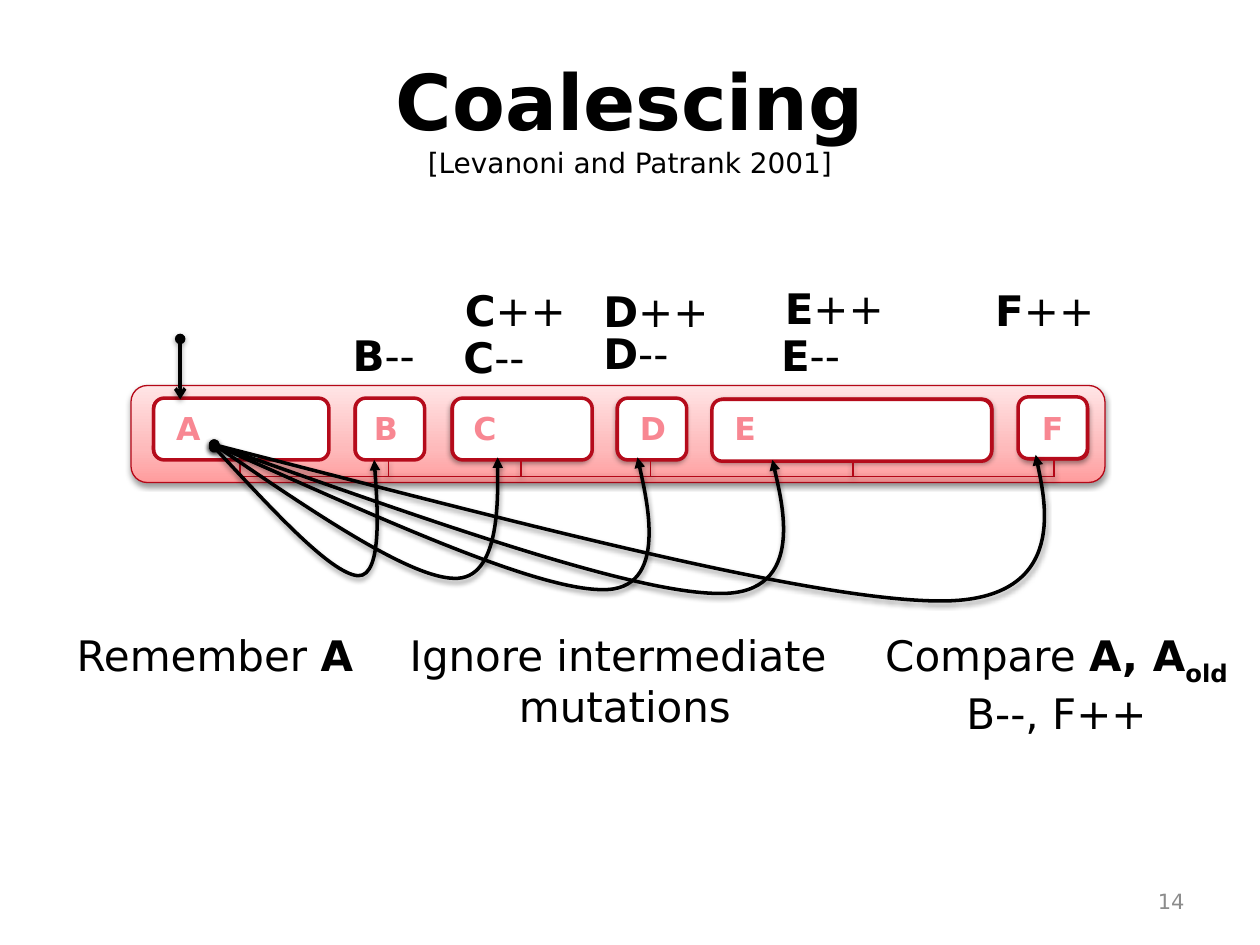
"""Build the slide on coalescing reference-count updates."""
from copy import deepcopy

from lxml import etree
from pptx import Presentation
from pptx.dml.color import RGBColor
from pptx.enum import shapes, text
from pptx.oxml import ns
from pptx.util import Inches, Pt

FONT = "DejaVu Sans"
RED, BLACK = "B50717", "000000"


def write(left, top, width, height, *lines, size=24, color=BLACK, align="LEFT", anchor="TOP", wrap=True):
    """Add a text box whose lines switch bold on and off at each asterisk."""
    box = page.shapes.add_textbox(Inches(left), Inches(top), Inches(width), Inches(height))
    frame = box.text_frame
    frame.word_wrap = wrap
    frame.vertical_anchor = text.MSO_ANCHOR[anchor]
    for index, line in enumerate(lines):
        para = frame.paragraphs[0] if index == 0 else frame.add_paragraph()
        para.alignment = text.PP_ALIGN[align]
        for part, words in enumerate(line.split("*")):
            if words:
                span = para.add_run()
                span.text = words
                span.font.name, span.font.size, span.font.bold = FONT, Pt(size), part % 2 == 1
                span.font.color.rgb = RGBColor.from_string(color)
    return box


def outline(shape, color, width, shadow=True, head=None, tail=None):
    """Set the line, its ends and the soft shadow below a shape."""
    shape.line.color.rgb = RGBColor.from_string(color)
    shape.line.width = Pt(width)
    properties = shape._element.spPr
    for tag, kind in (("a:headEnd", head), ("a:tailEnd", tail)):
        if kind:
            etree.SubElement(properties.find(ns.qn("a:ln")), ns.qn(tag), type=kind)
    effects = etree.SubElement(properties, ns.qn("a:effectLst"))
    if shadow:
        outer = etree.SubElement(effects, ns.qn("a:outerShdw"), blurRad=str(Pt(3.1)),
                                 dist=str(Pt(1.6)), dir="5400000", rotWithShape="0")
        tone = etree.SubElement(outer, ns.qn("a:srgbClr"), val=BLACK)
        etree.SubElement(tone, ns.qn("a:alpha"), val="38000")


deck = Presentation()
deck.slide_width, deck.slide_height = Inches(10), Inches(7.5)
page = deck.slides.add_slide(deck.slide_layouts[6])

title = write(0.5, 0.3, 9, 1.25, "", align="CENTER", anchor="MIDDLE")
heading = title.text_frame.paragraphs[0]
heading.text = "Coalescing\v[Levanoni and Patrank 2001]"
for span, size in zip(heading.runs, (44, 16)):
    span.font.name, span.font.size, span.font.bold = FONT, Pt(size), size == 44
    span.font.color.rgb = RGBColor.from_string(BLACK)

# name, left, width, has shadow, white box left and top, letter left
cells = [
    ("A", 1.21, 1.39, False, 1.22, 3.16, 1.3),
    ("B", 2.81, 0.55, False, 2.82, 3.16, 2.87),
    ("C", 3.58, 1.11, True, 3.59, 3.16, 3.66),
    ("D", 4.89, 0.55, True, 4.9, 3.16, 4.98),
    ("E", 5.66, 2.22, True, 5.65, 3.17, 5.73),
    ("F", 8.09, 0.55, True, 8.08, 3.15, 8.17),
]
panels = [(1.04, 3.06, 7.73, 0.77, True)]
panels += [(left, 3.16, width, 0.49, shadow) for _, left, width, shadow, *_ in cells]
boxes = []
for left, top, width, height, shadow in panels:
    box = page.shapes.add_shape(shapes.MSO_SHAPE.ROUNDED_RECTANGLE, Inches(left), Inches(top),
                                Inches(width), Inches(height))
    box.fill.gradient()
    box.fill.gradient_angle = 90
    stop_list = box._element.spPr.find(".//" + ns.qn("a:gsLst"))
    stop_list.insert(1, deepcopy(stop_list[0]))
    for stop, position, color in zip(box.fill.gradient_stops, (0, 0.35, 1), ("FF9C9D", "FEBABB", "FFE4E5")):
        stop.position = position
        stop.color.rgb = RGBColor.from_string(color)
    outline(box, RED, 0.75, shadow)
    boxes.append(box)

rail = page.shapes.add_connector(shapes.MSO_CONNECTOR.STRAIGHT, Inches(1.92), Inches(3.78),
                                 Inches(8.37), Inches(3.78))
outline(rail, RED, 0.75)
for box in boxes[1:]:
    middle = box.left + box.width // 2
    tick = page.shapes.add_connector(shapes.MSO_CONNECTOR.STRAIGHT, middle, Inches(3.78),
                                     middle, Inches(3.65))
    tick.end_connect(box, 2)
    outline(tick, RED, 0.75)

for name, _, width, _, left, top, _ in cells:
    box = page.shapes.add_shape(shapes.MSO_SHAPE.ROUNDED_RECTANGLE, Inches(left), Inches(top),
                                Inches(width), Inches(0.49))
    box.fill.solid()
    box.fill.fore_color.rgb = RGBColor.from_string("FFFFFF")
    outline(box, "B50B1B", 2, shadow=False)

root = page.shapes.add_connector(shapes.MSO_CONNECTOR.STRAIGHT, Inches(1.43), Inches(2.69),
                                 Inches(1.43), Inches(3.17))
outline(root, BLACK, 2, head="oval", tail="arrow")

# start, then two cubic segments of two control points and an end each
pointers = [
    [(1.7, 3.55), (2.13, 4.01), (2.62, 4.55), (2.84, 4.57), (3.05, 4.58), (2.97, 3.65), (2.97, 3.65)],
    [(1.7, 3.53), (2.41, 4.01), (3.23, 4.58), (3.6, 4.59), (3.98, 4.61), (3.95, 3.63), (3.95, 3.63)],
    [(1.7, 3.53), (2.9, 4.06), (4.21, 4.67), (4.77, 4.68), (5.33, 4.7), (5.06, 3.63), (5.06, 3.63)],
    [(1.7, 3.53), (3.26, 4.08), (5, 4.71), (5.71, 4.71), (6.42, 4.72), (6.13, 3.65), (6.13, 3.65)],
    [(1.7, 3.53), (3.96, 4.11), (6.42, 4.77), (7.47, 4.77), (8.52, 4.77), (8.22, 3.61), (8.22, 3.61)],
]
for pointer in pointers:
    start, *points = [(Inches(x), Inches(y)) for x, y in pointer]
    builder = page.shapes.build_freeform(*start)
    builder.add_line_segments(points, close=False)
    curve = builder.convert_to_shape()
    curve.fill.background()
    outline(curve, BLACK, 2, head="oval", tail="triangle")
    segments = curve._element.spPr.findall(".//" + ns.qn("a:lnTo"))
    track = segments[0].getparent()
    for first in (0, 3):
        cubic = etree.SubElement(track, ns.qn("a:cubicBezTo"))
        for segment in segments[first:first + 3]:
            cubic.append(segment[0])
            track.remove(segment)

updates = [
    ("*B*--", 2.7, 2.57), ("*C*++", 3.59, 2.21), ("*C*--", 3.58, 2.58), ("*D*++", 4.69, 2.22),
    ("*D*--", 4.69, 2.55), ("*E*++", 6.13, 2.19), ("*E*--", 6.1, 2.57), ("*F*++", 7.8, 2.21),
]
for label, left, top in updates:
    write(left, top, 1.12, 0.5, label)

write(0.51, 4.95, 2.41, 0.5, "Remember *A")
write(3.11, 4.95, 3.7, 0.91, "Ignore intermediate ", "mutations", align="CENTER")
compare = write(6.89, 4.95, 2.99, 0.91, "Compare *A, A**old", "B--, F++", align="CENTER")
compare.text_frame.paragraphs[0].runs[-1].font._element.set("baseline", "-25000")

write(7.17, 6.95, 2.33, 0.4, "14", size=12, color="8C8C8C", align="RIGHT", anchor="MIDDLE")
for name, *_, left in cells:
    write(left, 3.2, 0.4, 0.4, "*" + name, size=18, color="F88792", wrap=False)

deck.save("out.pptx")
